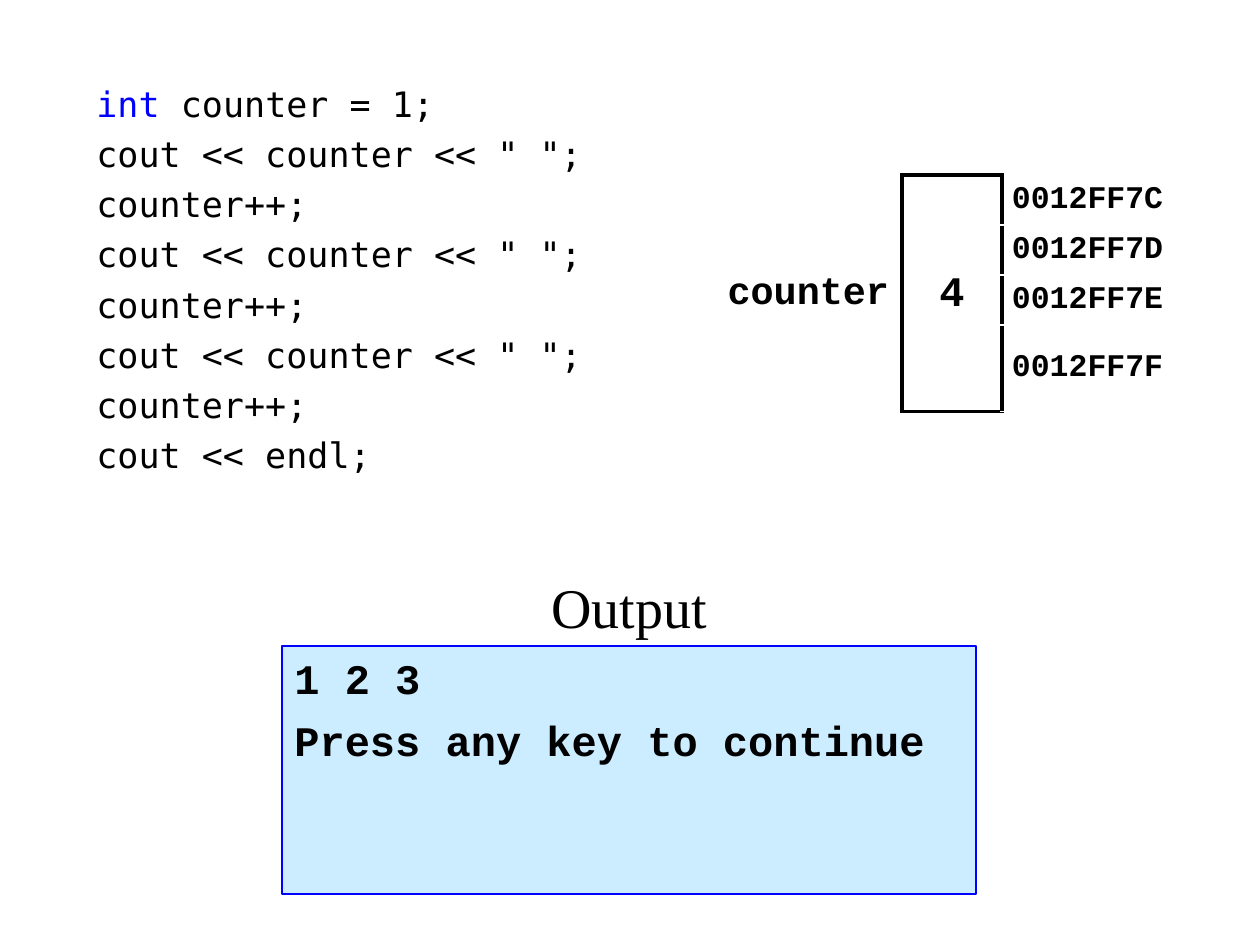
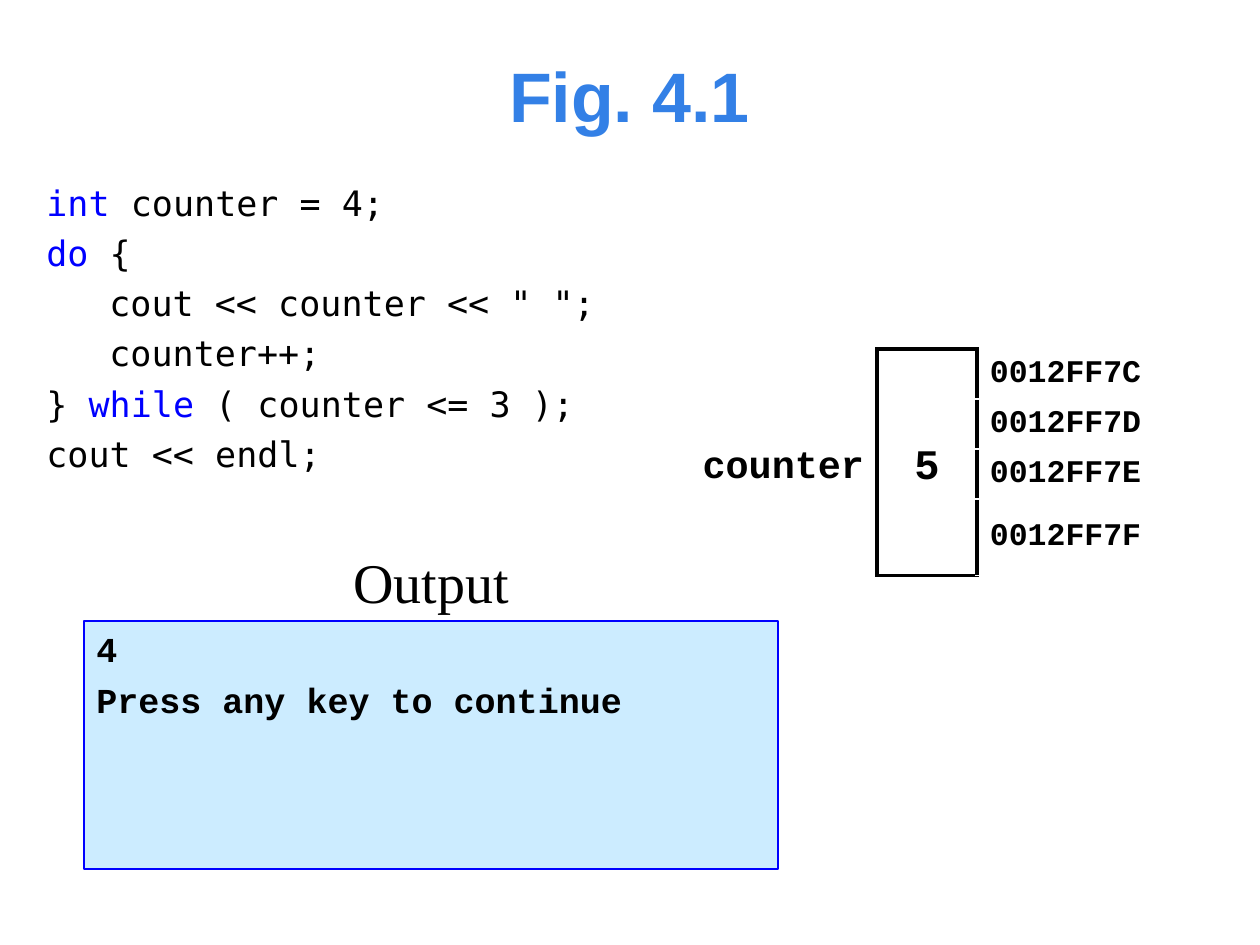
from lxml.etree import SubElement
from pptx import Presentation
from pptx.dml.color import RGBColor
from pptx.enum.shapes import MSO_SHAPE as Shape
from pptx.enum.text import MSO_ANCHOR as Anchor, PP_ALIGN as Align
from pptx.oxml.ns import qn
from pptx.util import Emu, Pt

COLOURS = {
    "text": "000000",
    "keyword": "0000FF",
    "title": "3380E6",
    "panel": "CCECFF",
    "panel_edge": "0000FF",
}
CODE_FONT = "DejaVu Sans Mono"
OUTPUT_FONT = "Courier New"
LABEL_FONT = "Times New Roman"
TITLE_FONT = "Arial"
KEYWORDS = {"int", "do", "while"}
ADDRESSES = ["0012FF7C", "0012FF7D", "0012FF7E", "0012FF7F"]
PANEL_WIDTH, PANEL_HEIGHT = 694, 248
LABEL_SIZE = (198, 99)
TAB_WIDTH = 63


def px(pixels):
    """Turn picture pixels into EMU."""
    return Emu(round(pixels * 914400 / 126))


def colour(name):
    """Look up a named colour."""
    return RGBColor.from_string(COLOURS[name])


def write(frame, lines, font, size, bold=False, align=Align.LEFT, ink="text",
          before=0, spacing=None, anchor=Anchor.TOP, wrap=True):
    """Fill a text frame with lines, each a string or a list of (text, colour) runs."""
    frame.word_wrap = wrap
    frame.vertical_anchor = anchor
    for number, line in enumerate(lines):
        paragraph = frame.add_paragraph() if number else frame.paragraphs[0]
        paragraph.alignment = align
        paragraph.space_before = Pt(before)
        if spacing:
            paragraph.line_spacing = spacing
        for words, shade in [(line, ink)] if isinstance(line, str) else line:
            run = paragraph.add_run()
            run.text = words
            run.font.name, run.font.size, run.font.bold = font, Pt(size), bold
            run.font.color.rgb = colour(shade)


def add_text(slide, box, lines, **style):
    """Add a text box and return its frame."""
    frame = slide.shapes.add_textbox(*map(px, box)).text_frame
    write(frame, lines, **style)
    return frame


def add_title(slide, title):
    """Add the slide title."""
    add_text(slide, (84, 54, 1091, 81), [title], font=TITLE_FONT, size=40, bold=True,
             align=Align.CENTER, ink="title", anchor=Anchor.MIDDLE)


def colour_keywords(statement):
    """Split a statement into runs, with its keyword in the keyword colour."""
    for keyword in KEYWORDS.intersection(statement.split()):
        head, found, tail = statement.partition(keyword)
        runs = [(head, "text"), (found, "keyword"), (tail, "text")]
        return [run for run in runs if run[0]]
    return [(statement, "text")]


def add_code(slide, box, statements):
    """Add a listing of (depth, statement) pairs."""
    lines = [colour_keywords(statement) for _, statement in statements]
    frame = add_text(slide, box, lines, font=CODE_FONT, size=20, before=4.7)
    for paragraph, (depth, _) in zip(frame.paragraphs, statements):
        if depth:
            properties = paragraph._p.get_or_add_pPr()
            properties.set("marL", str(px(depth * TAB_WIDTH)))
            properties.set("indent", "0")


def add_output(slide, left, top, lines, size, before):
    """Add the output panel with its centred label above."""
    panel = slide.shapes.add_shape(
        Shape.RECTANGLE, *map(px, (left, top, PANEL_WIDTH, PANEL_HEIGHT)))
    panel.shadow.inherit = False
    panel.fill.solid()
    panel.fill.fore_color.rgb = colour("panel")
    panel.line.color.rgb = colour("panel_edge")
    panel.line.width = Pt(0.75)
    write(panel.text_frame, lines, font=OUTPUT_FONT, size=size, bold=True, before=before)
    width, height = LABEL_SIZE
    label_box = (left + (PANEL_WIDTH - width) / 2, top - height, width, height)
    add_text(slide, label_box, ["Output"], font=LABEL_FONT, size=32,
             align=Align.CENTER, anchor=Anchor.BOTTOM, wrap=False)


def set_borders(cell, sides):
    """Draw the given sides of a cell and leave its fill empty."""
    properties = cell._tc.get_or_add_tcPr()
    for side in "LRTB":
        if side in sides:
            edge = SubElement(properties, qn(f"a:ln{side}"), w=str(Pt(2.25)))
            fill = SubElement(edge, qn("a:solidFill"))
            SubElement(fill, qn("a:srgbClr"), val=COLOURS["text"])
    cell.fill.background()


def set_margins(cell, side, top, bottom):
    """Set the inner margins of a cell in pixels."""
    cell.margin_left = cell.margin_right = px(side)
    cell.margin_top, cell.margin_bottom = px(top), px(bottom)


def add_memory(slide, left, top, columns, rows, value, address_side, bottom):
    """Add the memory table: variable name, value box and byte addresses."""
    box = (left, top, sum(columns), sum(rows))
    table = slide.shapes.add_table(len(rows), len(columns), *map(px, box)).table
    table.first_row = table.horz_banding = False
    for column, width in zip(table.columns, columns):
        column.width = px(width)
    last = len(rows) - 1
    for index, (height, address) in enumerate(zip(rows, ADDRESSES)):
        table.rows[index].height = px(height)
        name_cell, value_cell, address_cell = (table.cell(index, c) for c in range(3))
        set_borders(name_cell, "R")
        set_borders(value_cell, "LRTB" if index == 0 else "LRB" if index == last else "LR")
        set_borders(address_cell, "L")
        set_margins(address_cell, address_side, 5, 5)
        write(address_cell.text_frame, [address], font=OUTPUT_FONT, size=18, bold=True)
        address_cell.vertical_anchor = Anchor.MIDDLE
    for column, words, size, align in [(0, "counter", 22, Align.RIGHT),
                                       (1, value, 24, Align.CENTER)]:
        cell = table.cell(0, column)
        cell.merge(table.cell(last, column))
        set_margins(cell, 13, 0, bottom)
        write(cell.text_frame, [words], font=OUTPUT_FONT, size=size, bold=True,
              align=align, spacing=1.4)
        cell.vertical_anchor = Anchor.MIDDLE


def build_sequence(slide):
    """Build the slide that counts with repeated statements."""
    add_output(slide, 282, 646, ["1 2 3", "Press any key to continue"], 24, 6.5)
    step = [(0, 'cout << counter << " ";'), (0, "counter++;")]
    add_code(slide, (84, 76, 520, 422),
             [(0, "int counter = 1;"), *step * 3, (0, "cout << endl;")])
    add_memory(slide, 704, 175, (198, 100, 174), (50, 50, 50, 80), "4", 10, 16)


def build_loop(slide):
    """Build the slide that counts with a do-while loop."""
    add_output(slide, 84, 621, ["4", "Press any key to continue"], 20, 5.3)
    add_title(slide, "Fig. 4.1")
    add_code(slide, (34, 175, 596, 323), [
        (0, "int counter = 4;"),
        (0, "do {"),
        (1, 'cout << counter << " ";'),
        (1, "counter++;"),
        (0, "} while ( counter <= 3 );"),
        (0, "cout << endl;"),
    ])
    add_memory(slide, 679, 349, (198, 100, 198), (50, 50, 50, 75), "5", 13, 6)


def main():
    """Build and save the presentation."""
    deck = Presentation()
    deck.slide_width, deck.slide_height = px(1260), px(945)
    for build in (build_sequence, build_loop):
        build(deck.slides.add_slide(deck.slide_layouts[6]))
    deck.save("out.pptx")


main()
